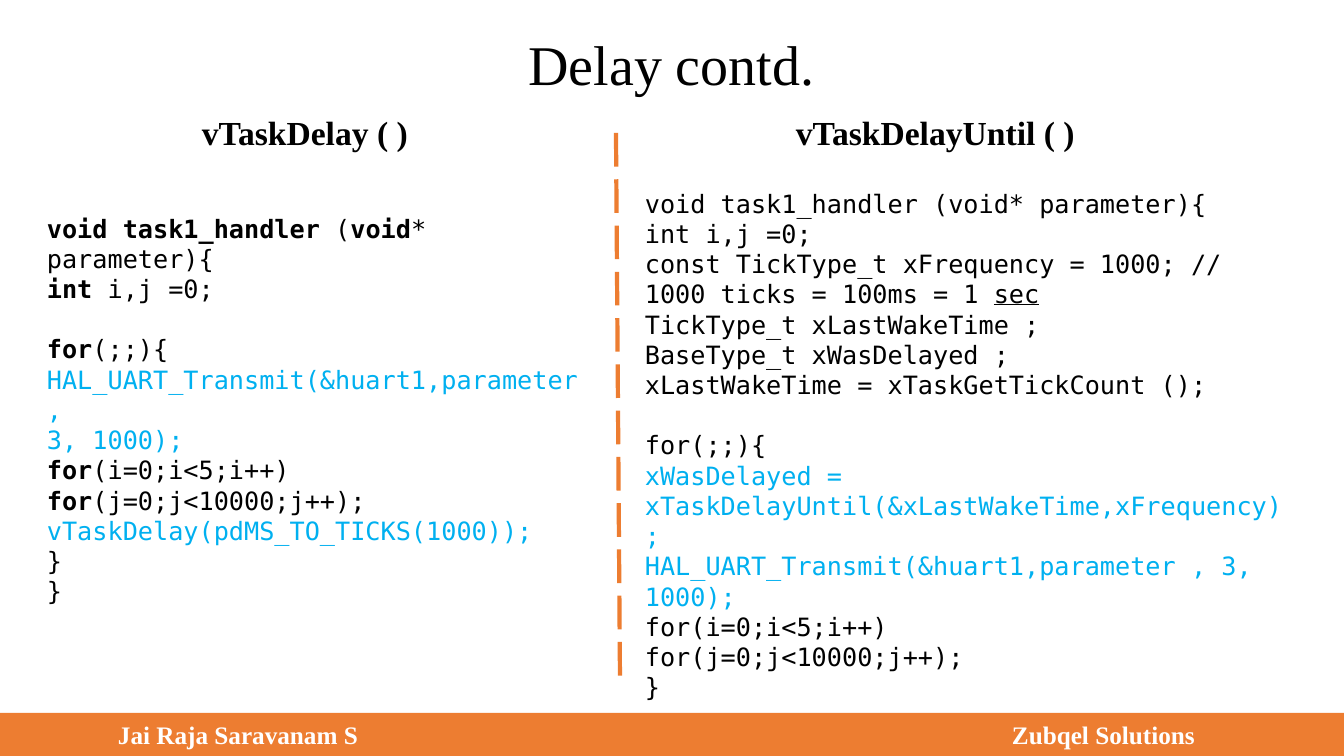
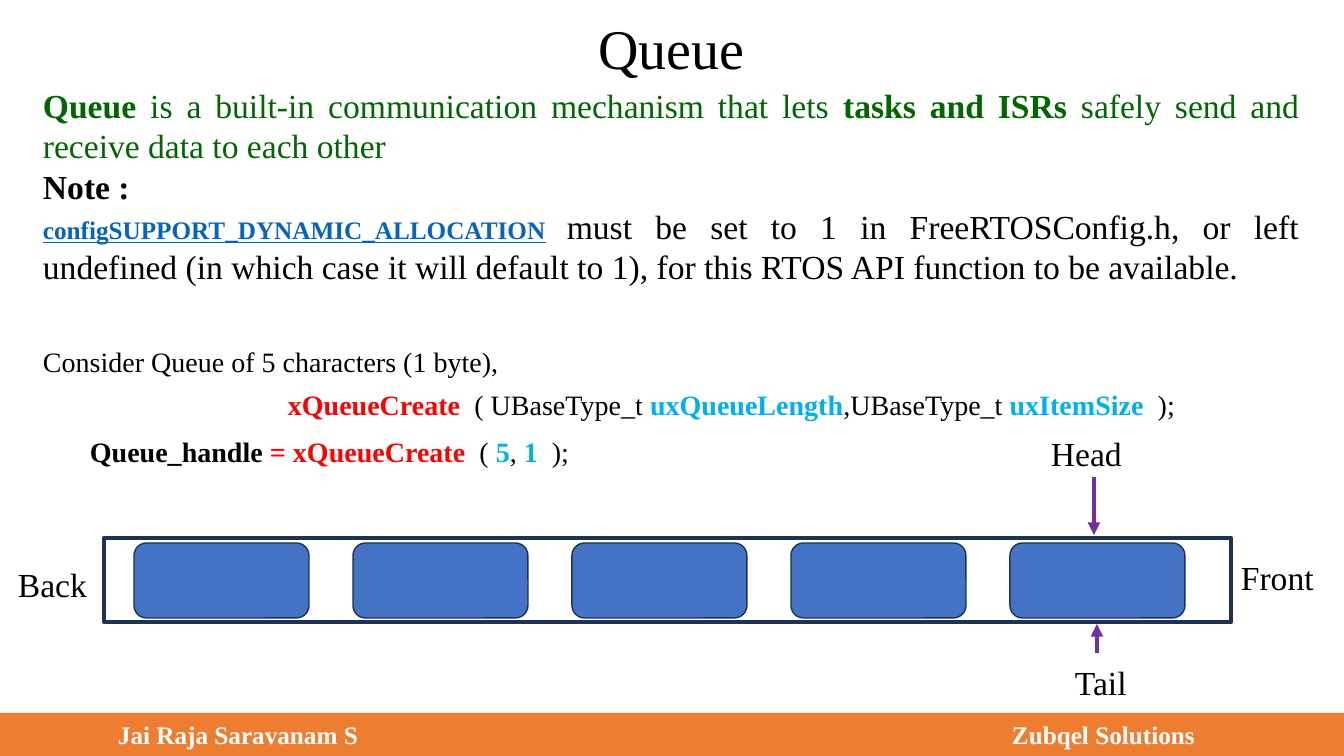
"""Build two slides: task delay functions and the queue of an RTOS."""
from lxml.etree import SubElement
from pptx import Presentation
from pptx.dml.color import RGBColor
from pptx.enum.dml import MSO_LINE
from pptx.enum.shapes import MSO_CONNECTOR, MSO_SHAPE as SHAPE
from pptx.enum.text import MSO_ANCHOR as ANCHOR, MSO_AUTO_SIZE as AUTO_SIZE, PP_ALIGN as ALIGN
from pptx.oxml.ns import qn
from pptx.util import Pt

SLIDE_WIDTH, SLIDE_HEIGHT = 1344, 756
EMU_PER_PX = 12192000 / SLIDE_WIDTH
COLOURS = {
    "black": "000000", "white": "FFFFFF", "orange": "ED7D31", "cyan": "00B0F0",
    "green": "006600", "link": "0563C1", "red": "FF0000", "purple": "7030A0",
    "navy": "1E3256", "blue": "4472C4",
}
SERIF, MONO = "Times New Roman", "DejaVu Sans Mono"
STYLES = {
    "plain": {},
    "bold": {"bold": True},
    "call": {"colour": "cyan"},
    "value": {"colour": "cyan", "bold": True},
    "function": {"colour": "red", "bold": True},
    "green": {"colour": "green"},
    "term": {"colour": "green", "bold": True},
    "link": {"colour": "link", "bold": True, "underline": True, "size": 18},
    "link_gap": {"colour": "cyan", "bold": True, "size": 18},
    "underlined": {"underline": True},
    "footer": {"colour": "white", "bold": True},
}

AUTHOR, COMPANY = "Jai Raja Saravanam S", "Zubqel Solutions"
FOOTER_BOX = (0, 713, SLIDE_WIDTH, 43)
FOOTER_TABS = (118, 1012)

DELAY_TITLE = ("Delay contd.", 34)
DELAY_HEADINGS = [
    ("vTaskDelay ( )", (192, 107, 230, 50)),
    ("vTaskDelayUntil ( )", (786, 107, 310, 50)),
]
DELAY_CODE = [
    [("void task1_handler", "bold"), (" (", "plain"), ("void", "bold"), ("* parameter){", "plain")],
    [("int ", "bold"), ("i,j =0;", "plain")],
    [("for", "bold"), ("(;;){", "plain")],
    [("HAL_UART_Transmit(&huart1,parameter ,", "call")],
    [("3, 1000);", "call")],
    [("for", "bold"), ("(i=0;i<5;i++)", "plain")],
    [("for", "bold"), ("(j=0;j<10000;j++);", "plain")],
    [("vTaskDelay(pdMS_TO_TICKS(1000));", "call")],
    [("}", "plain")],
    [("}", "plain")],
]
DELAY_UNTIL_CODE = [
    [("void task1_handler (void* parameter){", "plain")],
    [("int i,j =0;", "plain")],
    [("const TickType_t xFrequency = 1000; // 1000 ticks = 100ms = 1 ", "plain"),
     ("sec", "underlined")],
    [("TickType_t xLastWakeTime ;", "plain")],
    [("BaseType_t xWasDelayed ;", "plain")],
    [("xLastWakeTime = xTaskGetTickCount ();", "plain")],
    [("for(;;){", "plain")],
    [("xWasDelayed = xTaskDelayUntil(&xLastWakeTime,xFrequency);", "call")],
    [("HAL_UART_Transmit(&huart1,parameter , 3, 1000);", "call")],
    [("for(i=0;i<5;i++)", "plain")],
    [("for(j=0;j<10000;j++);", "plain")],
    [("}", "plain")],
]
CODE_BLOCKS = [
    (DELAY_CODE, (37, 208, 563, 400), 2),
    (DELAY_UNTIL_CODE, (635, 183, 671, 524), 6),
]
DIVIDER = (616, 133, 620, 680)

QUEUE_TITLE = ("Queue", 18)
QUEUE_INTRO = [
    [("Queue", "term"), (" is a built-in communication mechanism that lets ", "green"),
     ("tasks and ISRs", "term"), (" safely send and receive data to each other", "green")],
    [("Note :", "bold")],
    [("configSUPPORT_DYNAMIC_ALLOCATION", "link"), (" ", "link_gap"),
     ("must be set to 1 in FreeRTOSConfig.h, or left undefined (in which case it will "
      "default to 1), for this RTOS API function to be available.", "plain")],
]
QUEUE_LINES = [
    ([("Consider Queue of 5 characters (1 byte),", "plain")], (33, 340, 672, 44)),
    ([("xQueueCreate  ", "function"), ("( UBaseType_t ", "plain"), ("uxQueueLength", "value"),
      (",UBaseType_t ", "plain"), ("uxItemSize  ", "value"), (");", "plain")],
     (278, 383, 1050, 44)),
    ([("Queue_handle", "bold"), (" = xQueueCreate  ", "function"), ("( ", "plain"),
      ("5", "value"), (", ", "plain"), ("1  ", "value"), (");", "plain")],
     (80, 430, 900, 44)),
]
QUEUE_LABELS = [
    ("Head", (1041, 428, 105, 50)),
    ("Tail", (1065, 657, 88, 50)),
    ("Back", (8, 559, 112, 50)),
    ("Front", (1231, 552, 112, 50)),
]
QUEUE_FRAME = (104, 538, 1127, 84)
CELL_COUNT, CELL_STEP = 5, 219
FIRST_CELL = (134, 543, 175, 75)
QUEUE_ARROWS = [(1094, 477, 1094, 535), (1097, 653, 1097, 624)]


def px(length):
    return round(length * EMU_PER_PX)


def rgb(name):
    return RGBColor.from_string(COLOURS[name])


def add_run(paragraph, text, size=18, font=SERIF, colour="black", bold=False, underline=False):
    run = paragraph.add_run()
    run.text = text
    run.font.size, run.font.name = Pt(size), font
    run.font.bold, run.font.underline = bold, underline
    run.font.color.rgb = rgb(colour)


def add_text(slide, paragraphs, box, size=24, font=SERIF, align=ALIGN.LEFT, gap_index=None):
    frame = slide.shapes.add_textbox(*map(px, box)).text_frame
    frame.word_wrap = True
    for index, runs in enumerate(paragraphs):
        paragraph = frame.add_paragraph() if index else frame.paragraphs[0]
        paragraph.alignment = align
        if index == gap_index:
            paragraph.space_before = Pt(21.5)
        for text, style in runs:
            add_run(paragraph, text, **{"size": size, "font": font, **STYLES[style]})


def add_box(slide, kind, box, fill=None, line=None, line_width=1):
    shape = slide.shapes.add_shape(kind, *map(px, box))
    shape.shadow.inherit = False
    if fill:
        shape.fill.solid()
        shape.fill.fore_color.rgb = rgb(fill)
    else:
        shape.fill.background()
    if line:
        shape.line.color.rgb = rgb(line)
        shape.line.width = Pt(line_width)
    else:
        shape.line.fill.background()
    return shape


def add_line(slide, ends, colour, dash=None, arrow=False):
    connector = slide.shapes.add_connector(MSO_CONNECTOR.STRAIGHT, *map(px, ends))
    connector.line.color.rgb = rgb(colour)
    connector.line.width = Pt(3)
    if dash:
        connector.line.dash_style = dash
    properties = connector._element.spPr
    if arrow:
        SubElement(properties.find(qn("a:ln")), qn("a:tailEnd"), type="triangle")
    SubElement(properties, qn("a:effectLst"))


def add_footer(slide):
    frame = add_box(slide, SHAPE.RECTANGLE, FOOTER_BOX, fill="orange").text_frame
    frame.margin_left = 0
    frame.vertical_anchor = ANCHOR.MIDDLE
    paragraph = frame.paragraphs[0]
    paragraph.alignment = ALIGN.LEFT
    tabs = SubElement(paragraph._p.get_or_add_pPr(), qn("a:tabLst"))
    for position in FOOTER_TABS:
        SubElement(tabs, qn("a:tab"), pos=str(px(position)), algn="l")
    add_run(paragraph, f"\t{AUTHOR}\t{COMPANY}", **STYLES["footer"])


def add_slide(presentation, text, top):
    slide = presentation.slides.add_slide(presentation.slide_layouts[5])
    title = slide.shapes.title
    title.left, title.top, title.width, title.height = map(px, (60, top, 1223, 67))
    frame = title.text_frame
    frame.auto_size = AUTO_SIZE.NONE
    frame.vertical_anchor = ANCHOR.MIDDLE
    paragraph = frame.paragraphs[0]
    paragraph.alignment = ALIGN.CENTER
    paragraph.line_spacing = 0.9
    add_run(paragraph, text, size=40)
    add_footer(slide)
    return slide


def build_delay(presentation):
    slide = add_slide(presentation, *DELAY_TITLE)
    for heading, box in DELAY_HEADINGS:
        add_text(slide, [[(heading, "bold")]], box)
    for code, box, gap_index in CODE_BLOCKS:
        add_text(slide, code, box, size=18, font=MONO, gap_index=gap_index)
    add_line(slide, DIVIDER, "orange", dash=MSO_LINE.LONG_DASH)


def build_queue(presentation):
    slide = add_slide(presentation, *QUEUE_TITLE)
    add_text(slide, QUEUE_INTRO, (33, 80, 1276, 215), align=ALIGN.JUSTIFY)
    add_box(slide, SHAPE.RECTANGLE, QUEUE_FRAME, line="navy", line_width=3)
    left, top, width, height = FIRST_CELL
    for index in range(CELL_COUNT):
        cell = (left + index * CELL_STEP, top, width, height)
        add_box(slide, SHAPE.ROUNDED_RECTANGLE, cell, fill="blue", line="navy")
    for ends in QUEUE_ARROWS:
        add_line(slide, ends, "purple", arrow=True)
    for label, box in QUEUE_LABELS:
        add_text(slide, [[(label, "plain")]], box)
    for runs, box in QUEUE_LINES:
        add_text(slide, [runs], box, size=20)


def main():
    presentation = Presentation()
    presentation.slide_width, presentation.slide_height = px(SLIDE_WIDTH), px(SLIDE_HEIGHT)
    build_delay(presentation)
    build_queue(presentation)
    presentation.save("out.pptx")


if __name__ == "__main__":
    main()
